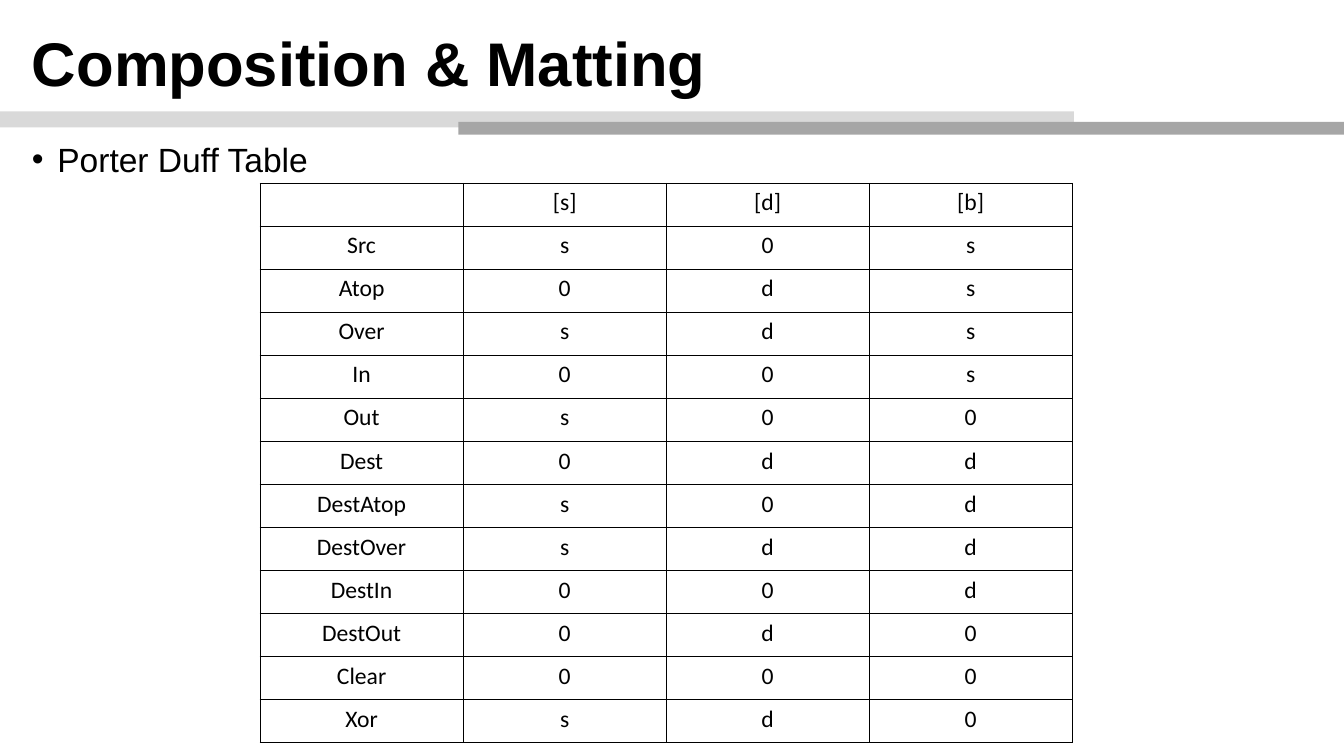
from lxml import etree
from pptx import Presentation
from pptx import util as u
from pptx.dml import color
from pptx.enum import shapes, text
from pptx.oxml import ns

INK = "000000"
OPERATORS = [
    ("", "[s]", "[d]", "[b]"),
    ("Src", "s", "0", "s"),
    ("Atop", "0", "d", "s"),
    ("Over", "s", "d", "s"),
    ("In", "0", "0", "s"),
    ("Out", "s", "0", "0"),
    ("Dest", "0", "d", "d"),
    ("DestAtop", "s", "0", "d"),
    ("DestOver", "s", "d", "d"),
    ("DestIn", "0", "0", "d"),
    ("DestOut", "0", "d", "0"),
    ("Clear", "0", "0", "0"),
    ("Xor", "s", "d", "0"),
]


def rgb(code):
    return color.RGBColor.from_string(code)


def add_element(parent, tag, **attributes):
    return etree.SubElement(parent, ns.qn(tag), attributes)


class Page:
    """One slide together with its text and table style."""

    heading_font = "Arial"
    table_font = "Calibri"

    def __init__(self, deck, layout):
        self.slide = deck.slides.add_slide(deck.slide_layouts[layout])

    def bar(self, left, top, width, height, fill):
        bar = self.slide.shapes.add_shape(
            shapes.MSO_SHAPE.RECTANGLE,
            u.Cm(left), u.Cm(top), u.Cm(width), u.Cm(height))
        bar.shadow.inherit = False
        bar.fill.solid()
        bar.fill.fore_color.rgb = rgb(fill)
        bar.line.fill.background()

    def span(self, para, words, font, size, bold=False):
        span = para.add_run()
        span.text = words
        span.font.name = font
        span.font.size = u.Pt(size)
        span.font.bold = bold
        span.font.color.rgb = rgb(INK)

    def placeholder(self, index, left, top, width, height, anchor):
        """Place a template placeholder in front and return its paragraph."""
        box = self.slide.placeholders[index]
        box.left, box.top = u.Cm(left), u.Cm(top)
        box.width, box.height = u.Cm(width), u.Cm(height)
        self.slide.shapes.element.append(box.element)
        frame = box.text_frame
        frame.word_wrap = True
        frame.auto_size = text.MSO_AUTO_SIZE.NONE
        frame.vertical_anchor = anchor
        para = frame.paragraphs[0]
        para.alignment = text.PP_ALIGN.LEFT
        para.line_spacing = 0.9
        para.space_before = u.Pt(0)
        return para

    def title(self, words, *place):
        para = self.placeholder(0, *place, text.MSO_ANCHOR.MIDDLE)
        self.span(para, words, self.heading_font, 62.6, bold=True)

    def bullet(self, words, *place):
        para = self.placeholder(1, *place, text.MSO_ANCHOR.TOP)
        indent = u.Cm(0.91)
        props = para._p.get_or_add_pPr()
        props.set("marL", str(indent))
        props.set("indent", str(-indent))
        add_element(props, "a:buFont", typeface=self.heading_font)
        add_element(props, "a:buChar", char="•")
        self.span(para, words, self.heading_font, 34.1)

    def border(self, cell):
        props = cell._tc.get_or_add_tcPr()
        for side in ("a:lnL", "a:lnR", "a:lnT", "a:lnB"):
            line = add_element(props, side, w=str(u.Pt(1)))
            add_element(add_element(line, "a:solidFill"), "a:srgbClr", val=INK)

    def table(self, rows, left, top, width, height):
        table = self.slide.shapes.add_table(
            len(rows), len(rows[0]),
            u.Cm(left), u.Cm(top), u.Cm(width), u.Cm(height)).table
        table.first_row = table.horz_banding = False
        for cell, words in zip(table.iter_cells(), sum(rows, ())):
            self.border(cell)
            cell.fill.background()
            cell.margin_left = cell.margin_right = u.Cm(0.18)
            cell.margin_top = cell.margin_bottom = u.Cm(0.18)
            para = cell.text_frame.paragraphs[0]
            para.alignment = text.PP_ALIGN.CENTER
            if words:
                self.span(para, words, self.table_font, 24)


def main():
    deck = Presentation()
    deck.slide_width, deck.slide_height = u.Cm(48.16), u.Cm(27.1)
    page = Page(deck, 1)

    # Divider bars
    page.bar(0, 3.99, 38.48, 0.58, "D9D9D9")
    page.bar(16.43, 4.37, 31.73, 0.46, "A6A6A6")

    # Heading and list
    page.title("Composition & Matting", 0.89, 0.56, 46.3, 3.66)
    page.bullet("Porter Duff Table", 0.89, 5, 46.38, 21.54)

    # Operator table
    page.table(OPERATORS, 9.32, 6.57, 29.1, 20.07)

    deck.save("out.pptx")


if __name__ == "__main__":
    main()
